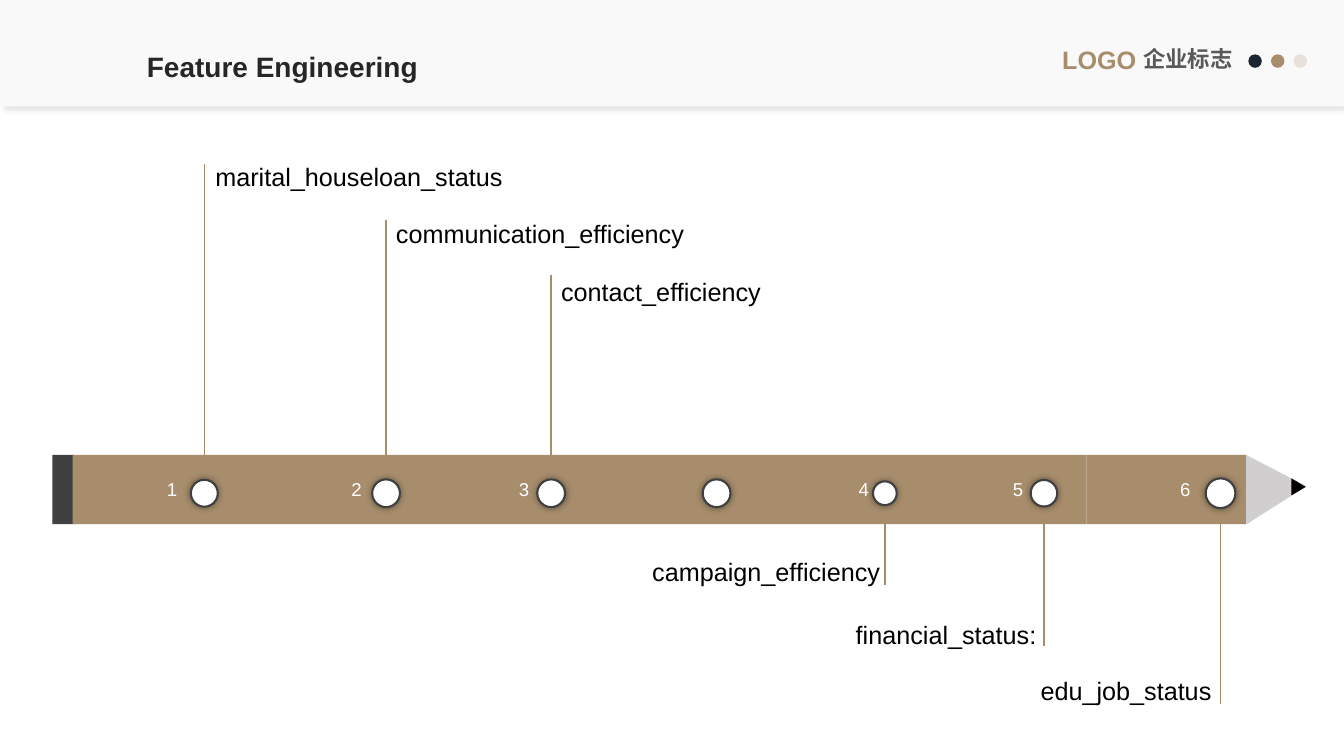
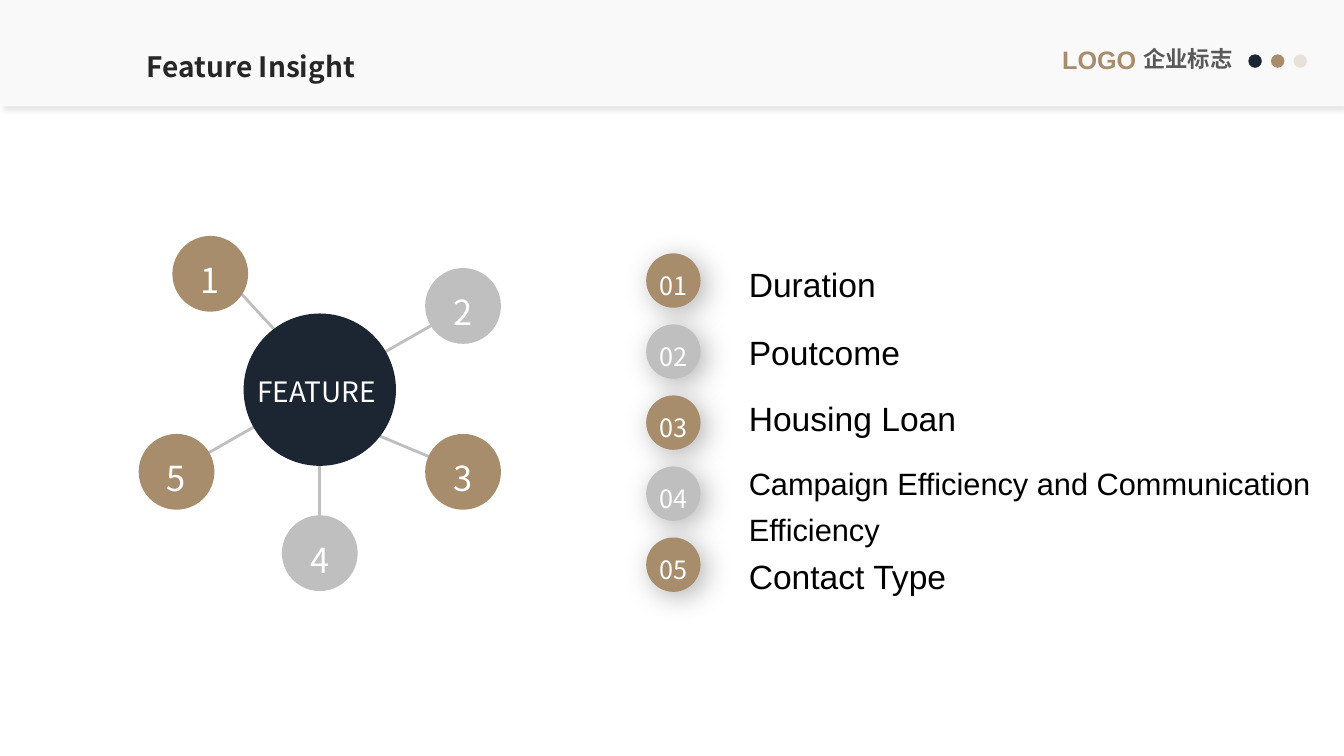
from dataclasses import dataclass

from lxml import etree
from pptx import Presentation
from pptx.dml.color import RGBColor
from pptx.enum.shapes import MSO_CONNECTOR, MSO_SHAPE
from pptx.enum.text import MSO_ANCHOR, MSO_AUTO_SIZE, PP_ALIGN
from pptx.oxml.ns import qn
from pptx.util import Cm, Pt

LEFT, CENTER, RIGHT, JUSTIFY = PP_ALIGN.LEFT, PP_ALIGN.CENTER, PP_ALIGN.RIGHT, PP_ALIGN.JUSTIFY
TOP, MIDDLE = MSO_ANCHOR.TOP, MSO_ANCHOR.MIDDLE
RECTANGLE, OVAL, TRIANGLE = MSO_SHAPE.RECTANGLE, MSO_SHAPE.OVAL, MSO_SHAPE.ISOSCELES_TRIANGLE


@dataclass(frozen=True)
class Theme:
    sans: str = "Arial"
    cjk: str = "Noto Sans CJK SC"
    gold: str = "A78D6C"
    pale_gold: str = "A38559"
    navy: str = "1C2632"
    silver: str = "BFBFBF"
    wood: str = "D0CECE"
    charcoal: str = "404040"
    title_ink: str = "262626"
    caption_ink: str = "595959"
    band: str = "F9F9F9"
    white: str = "FFFFFF"
    black: str = "000000"
    title_size: float = 20
    label_size: float = 18
    caption_size: float = 16
    stop_size: float = 13.3
    node_size: float = 24.6
    item_size: float = 24
    long_item_size: float = 22


@dataclass(frozen=True)
class Shadow:
    """Alpha in percent, blur and distance in points, direction in degrees."""
    alpha: int
    blur: float
    distance: float
    direction: int


@dataclass(frozen=True)
class Stop:
    """A numbered point on the pencil; lengths in centimetres."""
    number: str
    x: float
    diameter: float
    number_right: float
    line_end: float
    label: str
    label_x: float
    label_top: float


@dataclass(frozen=True)
class Node:
    number: str
    x: float
    y: float
    color: str


@dataclass(frozen=True)
class Item:
    text: str
    size: float
    before: float


THEME = Theme()
BAND_SHADOW = Shadow(10, 4, 3, 45)
STOP_SHADOW = Shadow(40, 5, 0, 0)
BADGE_SHADOW = Shadow(30, 20, 5, 45)

PENCIL_TOP, PENCIL_HEIGHT = 11.46, 1.75
PENCIL_EDGES = [1.83, 5.97, 12.38, 22.33, 27.38, 31.42]
STOP_Y = 12.43
UNNUMBERED_X = 18.06
STOPS = [
    Stop("1", 5.15, 0.68, 4.72, 4.14, "marital_houseloan_status", 5.18, 3.94),
    Stop("2", 9.73, 0.7, 9.37, 5.54, "communication_efficiency", 9.73, 5.36),
    Stop("3", 13.89, 0.7, 13.59, 6.93, "contact_efficiency", 13.89, 6.83),
    Stop("4", 22.3, 0.6, 22.15, 14.73, "campaign_efficiency", 22.43, 13.89),
    Stop("5", 26.31, 0.67, 26.04, 16.28, "financial_status:", 26.37, 15.47),
    Stop("6", 30.76, 0.75, 30.25, 17.73, "edu_job_status", 30.78, 16.89),
]

HUB_X, HUB_Y, HUB_DIAMETER, NODE_DIAMETER = 8.06, 9.82, 3.84, 1.91
SPOKES = [
    (5.49, 6.76, 7.85, 9.32),
    (HUB_X, HUB_Y, HUB_X, 13.92),
    (11.66, 7.75, 4.47, 11.86),
    (11.66, 11.86, 8.81, 10.67),
]
NODES = [
    Node("1", 5.3, 6.9, THEME.gold),
    Node("2", 11.67, 7.71, THEME.silver),
    Node("3", 11.67, 11.89, THEME.gold),
    Node("4", HUB_X, 13.94, THEME.silver),
    Node("5", 4.45, 11.89, THEME.gold),
]
BADGE_X, BADGE_Y, BADGE_PITCH, BADGE_DIAMETER = 16.97, 7.07, 1.79, 1.37
ITEM_LINE = Pt(33)
ITEMS = [
    Item("Duration", THEME.item_size, 0),
    Item("Poutcome", THEME.item_size, 15),
    Item("Housing Loan", THEME.item_size, 14.5),
    Item("Campaign Efficiency and Communication Efficiency", THEME.long_item_size, 12.5),
    Item("Contact Type", THEME.item_size, 1),
]


def rgb(color: str) -> RGBColor:
    return RGBColor.from_string(color)


def place(shape, left: float, top: float, width: float, height: float) -> None:
    shape.left, shape.top, shape.width, shape.height = map(Cm, (left, top, width, height))


def write(shape, text: str, *, size: float, color: str, font: str = THEME.sans,
          bold: bool = False, align=LEFT, anchor=TOP, spacing=1.0, before: float = 0,
          inset: tuple[float, float] = (0.25, 0.13), wrap: bool = True,
          bullet: bool = True) -> None:
    """Fill the first paragraph, or append one when the shape already has text."""
    frame = shape.text_frame
    frame.word_wrap, frame.auto_size, frame.vertical_anchor = wrap, MSO_AUTO_SIZE.NONE, anchor
    frame.margin_left = frame.margin_right = Cm(inset[0])
    frame.margin_top = frame.margin_bottom = Cm(inset[1])
    paragraph = frame.add_paragraph() if frame.text else frame.paragraphs[0]
    if not bullet:
        properties = paragraph._p.get_or_add_pPr()
        properties.set("marL", "0")
        properties.set("indent", "0")
        etree.SubElement(properties, qn("a:buNone"))
    paragraph.alignment, paragraph.line_spacing = align, spacing
    paragraph.space_before = Pt(before)
    run = paragraph.add_run()
    run.text = text
    run.font.size, run.font.name, run.font.bold = Pt(size), font, bold
    run.font.color.rgb = rgb(color)
    etree.SubElement(run.font._element, qn("a:ea"), typeface=THEME.cjk)


def add_label(slide, text: str, left: float, top: float, width: float, height: float, **style):
    label = slide.shapes.add_textbox(Cm(left), Cm(top), Cm(width), Cm(height))
    write(label, text, **style)
    return label


def add_figure(slide, kind, left: float, top: float, width: float, height: float,
               fill: str, shadow: Shadow | None = None):
    figure = slide.shapes.add_shape(kind, Cm(left), Cm(top), Cm(width), Cm(height))
    figure.fill.solid()
    figure.fill.fore_color.rgb = rgb(fill)
    figure.line.fill.background()
    figure.shadow.inherit = False
    if shadow:
        effects = figure.element.spPr.find(qn("a:effectLst"))
        outer = etree.SubElement(effects, qn("a:outerShdw"), blurRad=str(Pt(shadow.blur)),
                                 dist=str(Pt(shadow.distance)),
                                 dir=str(shadow.direction * 60000), algn="ctr", rotWithShape="0")
        tint = etree.SubElement(outer, qn("a:srgbClr"), val=THEME.black)
        etree.SubElement(tint, qn("a:alpha"), val=str(shadow.alpha * 1000))
    return figure


def add_circle(slide, x: float, y: float, diameter: float, fill: str,
               shadow: Shadow | None = None):
    """Draw a circle around its centre."""
    return add_figure(slide, OVAL, x - diameter / 2, y - diameter / 2,
                      diameter, diameter, fill, shadow)


def add_line(slide, x1: float, y1: float, x2: float, y2: float, color: str, width: float) -> None:
    line = slide.shapes.add_connector(MSO_CONNECTOR.STRAIGHT, Cm(x1), Cm(y1), Cm(x2), Cm(y2))
    line.line.color.rgb = rgb(color)
    line.line.width = Pt(width)
    etree.SubElement(line.element.spPr, qn("a:effectLst"))


def build_master(deck, slide) -> None:
    """Draw the header once and move it from the slide to the master."""
    master = deck.slide_master
    header = [
        add_figure(slide, RECTANGLE, 0, 0, 33.87, 2.68, THEME.band, BAND_SHADOW),
        add_label(slide, "LOGO", 26.52, 0.99, 2.41, 1.02, size=THEME.label_size,
                  color=THEME.gold, bold=True, wrap=False),
        add_label(slide, "企业标志", 28.56, 1.02, 2.79, 0.94, size=THEME.caption_size,
                  color=THEME.caption_ink, bold=True, wrap=False),
    ]
    for index, color in enumerate((THEME.navy, THEME.gold, THEME.pale_gold)):
        header.append(add_circle(slide, 31.63 + 0.57 * index, 1.54, 0.34, color))
    pale = header[-1].element.spPr.find(".//" + qn("a:srgbClr"))
    etree.SubElement(pale, qn("a:alpha"), val="20000")
    tree = master.shapes.element
    for index, part in enumerate(header):
        part.element.find(".//" + qn("p:cNvPr")).set("id", str(20 + index))
        tree.insert(2 + index, part.element)
    place(master.placeholders[0], 3.45, 0.94, 7.98, 1.19)


def set_title(slide, text: str, font: str) -> None:
    write(slide.shapes.title, text, size=THEME.title_size, color=THEME.title_ink,
          font=font, bold=True, spacing=1.2)


def add_stop_dot(slide, x: float, diameter: float) -> None:
    dot = add_circle(slide, x, STOP_Y, diameter, THEME.white, STOP_SHADOW)
    dot.line.color.rgb = rgb(THEME.charcoal)
    dot.line.width = Pt(1.5)


def add_pencil(slide) -> None:
    add_figure(slide, RECTANGLE, 1.32, PENCIL_TOP, 0.56, PENCIL_HEIGHT, THEME.charcoal)
    for left, right in zip(PENCIL_EDGES, PENCIL_EDGES[1:]):
        add_figure(slide, RECTANGLE, left, PENCIL_TOP, right - left, PENCIL_HEIGHT, THEME.gold)
    tip = add_figure(slide, TRIANGLE, 31.29, 11.58, PENCIL_HEIGHT, 1.52, THEME.wood)
    tip.adjustments[0] = 0.45
    lead = add_figure(slide, TRIANGLE, 32.51, 12.09, 0.43, 0.36, THEME.black)
    tip.rotation = lead.rotation = 90


def add_stop(slide, stop: Stop) -> None:
    above = stop.line_end < STOP_Y
    add_line(slide, stop.x, stop.line_end, stop.x, STOP_Y, THEME.gold, 1)
    add_stop_dot(slide, stop.x, stop.diameter)
    add_label(slide, stop.number, stop.number_right - 3.6, 11.91, 3.6, 0.84,
              size=THEME.stop_size, color=THEME.white, align=RIGHT)
    width = 13
    add_label(slide, stop.label, stop.label_x if above else stop.label_x - width,
              stop.label_top, width, 1.02, size=THEME.label_size, color=THEME.black,
              align=LEFT if above else RIGHT)


def build_engineering(slide) -> None:
    set_title(slide, "Feature Engineering", THEME.sans)
    add_pencil(slide)
    add_stop_dot(slide, UNNUMBERED_X, 0.7)
    for stop in STOPS:
        add_stop(slide, stop)


def build_insight(slide) -> None:
    set_title(slide, "Feature Insight", THEME.cjk)
    numeral = dict(color=THEME.white, font=THEME.cjk, align=CENTER, anchor=MIDDLE, spacing=1.3)
    for spoke in SPOKES:
        add_line(slide, *spoke, THEME.silver, 2)
    add_circle(slide, HUB_X, HUB_Y, HUB_DIAMETER, THEME.navy)
    add_label(slide, "FEATURE", 6.3, 9.09, 3.51, 1.19, size=THEME.title_size, color=THEME.white,
              font=THEME.cjk, align=JUSTIFY, spacing=1.3, inset=(0.18, 0.1))
    for node in NODES:
        circle = add_circle(slide, node.x, node.y, NODE_DIAMETER, node.color)
        write(circle, node.number, size=THEME.node_size, inset=(0, 0), **numeral)

    features = slide.placeholders[1]
    place(features, 18.62, 6.38, 14.9, 9)
    for index, item in enumerate(ITEMS):
        badge = add_circle(slide, BADGE_X, BADGE_Y + BADGE_PITCH * index, BADGE_DIAMETER,
                           THEME.silver if index % 2 else THEME.gold, BADGE_SHADOW)
        write(badge, f"{index + 1:02}", size=THEME.label_size, wrap=False, **numeral)
        write(features, item.text, size=item.size, color=THEME.black, spacing=ITEM_LINE,
              before=item.before, bullet=False)


def main() -> None:
    deck = Presentation()
    deck.slide_width, deck.slide_height = Cm(33.87), Cm(19.05)
    engineering = deck.slides.add_slide(deck.slide_layouts.get_by_name("Title Only"))
    insight = deck.slides.add_slide(deck.slide_layouts.get_by_name("Title and Content"))
    build_master(deck, engineering)
    build_engineering(engineering)
    build_insight(insight)
    deck.save("out.pptx")


if __name__ == "__main__":
    main()
